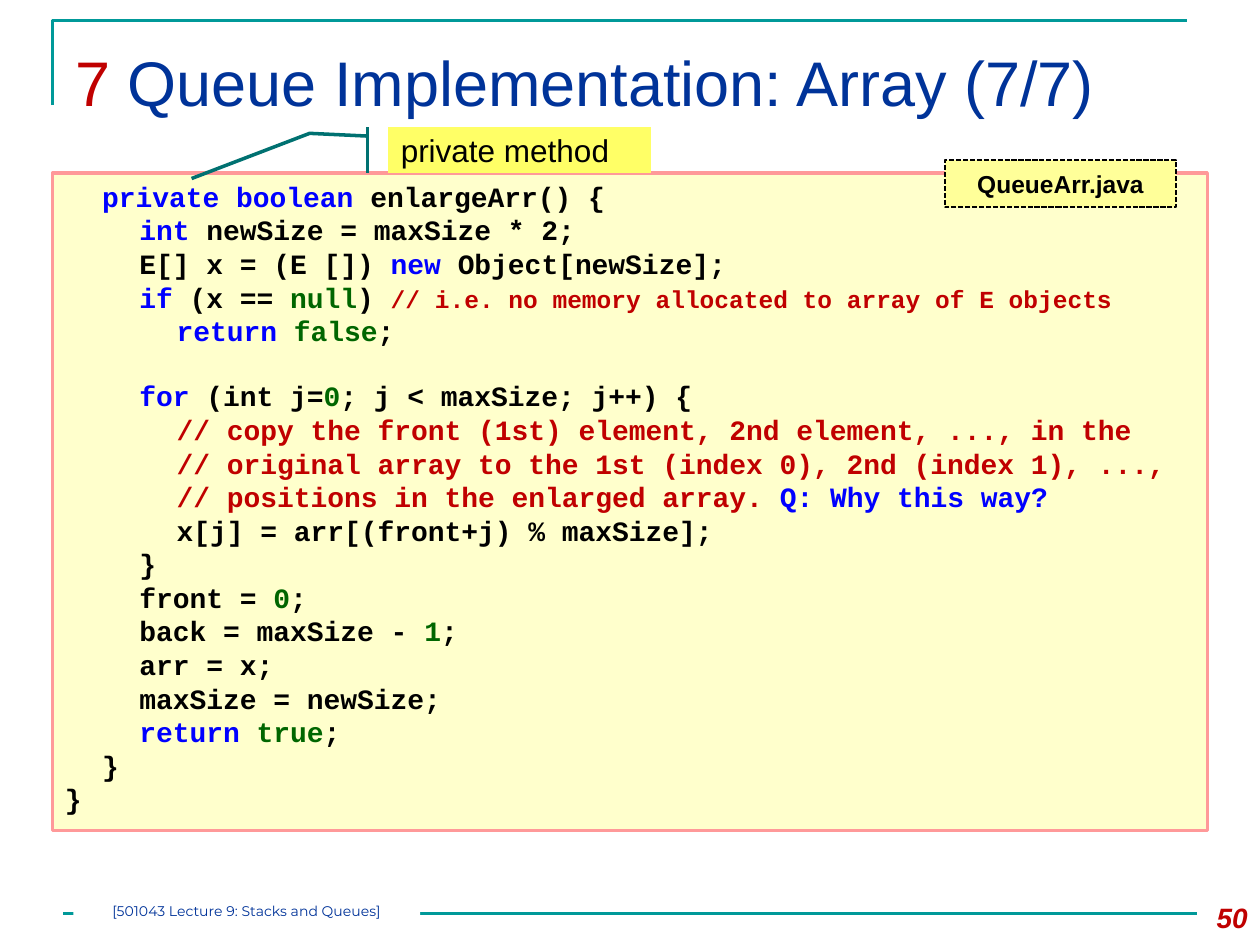
from lxml import etree
from pptx import Presentation
from pptx.dml.color import RGBColor
from pptx.enum.dml import MSO_LINE
from pptx.enum.shapes import MSO_CONNECTOR, MSO_SHAPE
from pptx.enum.text import MSO_ANCHOR, PP_ALIGN
from pptx.oxml.ns import qn
from pptx.util import Cm, Pt

RECTANGLE = MSO_SHAPE.RECTANGLE
CALLOUT = MSO_SHAPE.LINE_CALLOUT_2_ACCENT_BAR
STRAIGHT = MSO_CONNECTOR.STRAIGHT
DASHED = MSO_LINE.SQUARE_DOT
TOP, MIDDLE = MSO_ANCHOR.TOP, MSO_ANCHOR.MIDDLE
LEFT, CENTER, RIGHT = PP_ALIGN.LEFT, PP_ALIGN.CENTER, PP_ALIGN.RIGHT

BLACK, RED, BLUE, GREEN = "000000", "C00000", "0000FF", "006600"
NAVY, TEAL = "003399", "009999"

TITLE = [("7 ", RED), ("Queue Implementation: Array (7/7)", NAVY)]
CODE_SIZE, SMALL_COMMENT_SIZE = 16, 14
TAB_STEP, TAB_COUNT = 0.75, 4
BLANK_LINE = 18.1

# Each line: indent level, then runs of (text, colour[, size]); None is a blank line.
CODE = [
    (1, ("private boolean ", BLUE), ("enlargeArr() {", BLACK)),
    (2, ("int ", BLUE), ("newSize = maxSize * 2;", BLACK)),
    (2, ("E[] x = (E []) ", BLACK), ("new ", BLUE), ("Object[newSize];", BLACK)),
    (2, ("if ", BLUE), ("(x == ", BLACK), ("null", GREEN), (") ", BLACK),
     ("// i.e. no memory allocated to array of E objects", RED, SMALL_COMMENT_SIZE)),
    (3, ("return ", BLUE), ("false", GREEN), (";", BLACK)),
    None,
    (2, ("for ", BLUE), ("(int j=", BLACK), ("0", GREEN),
     ("; j < maxSize; j++) {", BLACK)),
    (3, ("// copy the front (1st) element, 2nd element, ..., in the", RED)),
    (3, ("// original array to the 1st (index 0), 2nd (index 1), ...,", RED)),
    (3, ("// positions in the enlarged array. ", RED), ("Q: Why this way?", BLUE)),
    (3, ("x[j] = arr[(front+j) % maxSize];", BLACK)),
    (2, ("}", BLACK)),
    (2, ("front = ", BLACK), ("0", GREEN), (";", BLACK)),
    (2, ("back = maxSize - ", BLACK), ("1", GREEN), (";", BLACK)),
    (2, ("arr = x;", BLACK)),
    (2, ("maxSize = newSize;", BLACK)),
    (2, ("return ", BLUE), ("true", GREEN), (";", BLACK)),
    (1, ("}", BLACK)),
    (0, ("}", BLACK)),
]


def color(hex_value):
    return RGBColor.from_string(hex_value)


def set_font(font, name, size, bold=False, italic=False):
    font.name, font.size, font.bold, font.italic = name, Pt(size), bold, italic


def set_line(line, hex_value, width):
    line.color.rgb = color(hex_value)
    line.width = Pt(width)


def add_runs(paragraph, runs):
    for text, hex_value, *size in runs:
        run = paragraph.add_run()
        run.text = text
        run.font.color.rgb = color(hex_value)
        if size:
            run.font.size = Pt(size[0])


def add_text(slide, box, runs, name, size, align=LEFT, anchor=TOP, bold=False, italic=False):
    frame = slide.shapes.add_textbox(*map(Cm, box)).text_frame
    return write(frame, runs, name, size, align, anchor, bold, italic)


def write(frame, runs, name, size, align=LEFT, anchor=MIDDLE, bold=False, italic=False):
    """Fill a text frame with one paragraph and return that paragraph."""
    frame.word_wrap = True
    frame.vertical_anchor = anchor
    paragraph = frame.paragraphs[0]
    paragraph.alignment = align
    set_font(paragraph.font, name, size, bold, italic)
    add_runs(paragraph, runs)
    return paragraph


def add_panel(slide, kind, box, fill, line=None):
    shape = slide.shapes.add_shape(kind, *map(Cm, box))
    shape.shadow.inherit = False
    shape.fill.solid()
    shape.fill.fore_color.rgb = color(fill)
    if line:
        set_line(shape.line, *line)
    else:
        shape.line.fill.background()
    return shape


def add_tab_stops(paragraph):
    properties = paragraph._p.get_or_add_pPr()
    tab_list = etree.SubElement(properties, qn("a:tabLst"))
    for number in range(1, TAB_COUNT + 1):
        etree.SubElement(tab_list, qn("a:tab"), pos=str(Cm(TAB_STEP * number)), algn="l")


def add_frame_lines(slide):
    builder = slide.shapes.build_freeform(Cm(1.06), Cm(2.12))
    builder.add_line_segments([(Cm(1.06), Cm(0.42)), (Cm(23.92), Cm(0.42))], close=False)
    corner = builder.convert_to_shape()
    corner.shadow.inherit = False
    corner.fill.background()
    set_line(corner.line, TEAL, 1.5)

    rule = slide.shapes.add_connector(STRAIGHT, Cm(1.27), Cm(18.42), Cm(24.13), Cm(18.42))
    set_line(rule.line, TEAL, 1.5)
    etree.SubElement(rule._element.spPr, qn("a:effectLst"))


def add_code(slide):
    panel = add_panel(slide, RECTANGLE, (1.06, 3.49, 23.28, 13.25), "FFFFCC", ("FF9999", 2))
    frame = panel.text_frame
    frame.word_wrap = True
    frame.vertical_anchor = TOP
    paragraph, gap = frame.paragraphs[0], 0
    for number, line in enumerate(CODE):
        if line is None:
            gap = BLANK_LINE
            continue
        if number:
            paragraph = frame.add_paragraph()
        level, (first_text, *first_style), *others = line
        paragraph.alignment = LEFT
        add_tab_stops(paragraph)
        set_font(paragraph.font, "Courier New", CODE_SIZE, bold=True)
        paragraph.space_before = Pt(gap)
        gap = 0
        add_runs(paragraph, [("\t" * level + first_text, *first_style), *others])


def main():
    presentation = Presentation()
    presentation.slide_width, presentation.slide_height = Cm(25.4), Cm(19.05)
    slide = presentation.slides.add_slide(presentation.slide_layouts[6])

    add_frame_lines(slide)
    title = add_text(slide, (1.27, 0.64, 22.86, 2.18), TITLE, "Arial", 36, anchor=MIDDLE)
    title.line_spacing = 0.9
    add_text(slide, (23.7, 18.03, 1.7, 1.02), [("50", RED)], "Arial", 16,
             align=RIGHT, bold=True, italic=True)
    add_code(slide)

    file_label = add_panel(slide, RECTANGLE, (19.05, 3.23, 4.66, 0.95), "FFFF99", (BLACK, 1))
    file_label.line.dash_style = DASHED
    write(file_label.text_frame, [("QueueArr.java", BLACK)], "Arial", 14, CENTER, bold=True)

    callout = add_panel(slide, CALLOUT, (7.83, 2.57, 5.29, 0.92), "FFFF66", ("007171", 2))
    for index, value in enumerate((0.19, -0.08, 0.13, -0.3, 1.12, -0.75)):
        callout.adjustments[index] = value
    write(callout.text_frame, [("private method", BLACK)], "Arial", 18)

    footer = add_panel(slide, RECTANGLE, (1.48, 18.2, 6.99, 0.43), "FFFFFF").text_frame
    footer.margin_left = footer.margin_right = footer.margin_top = footer.margin_bottom = 0
    write(footer, [("[501043 Lecture 9: Stacks and Queues]", NAVY)], "Montserrat", 8,
          CENTER, TOP)

    presentation.save("out.pptx")


if __name__ == "__main__":
    main()
